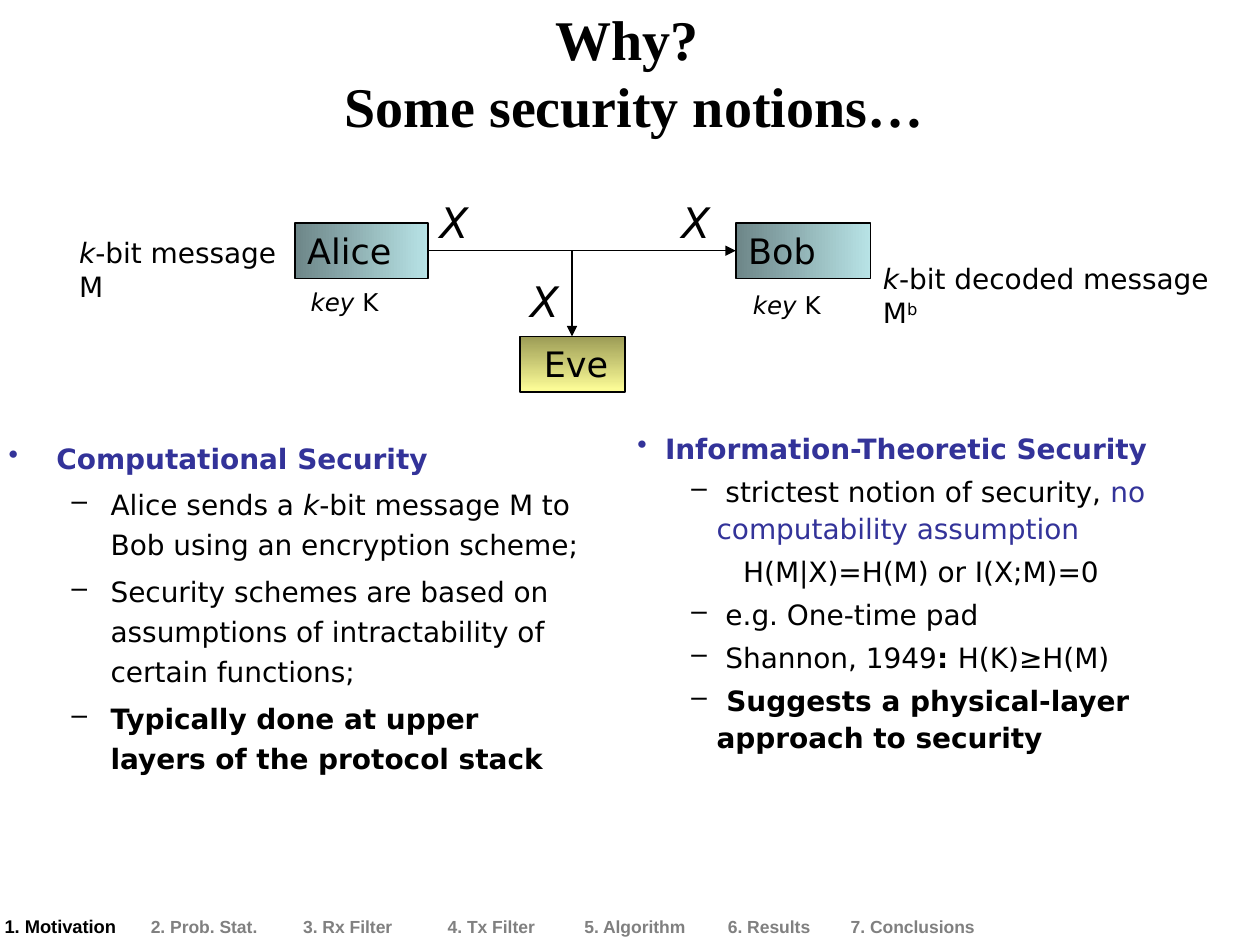
from lxml.etree import SubElement
from pptx import Presentation
from pptx.dml.color import RGBColor
from pptx.enum.shapes import MSO_CONNECTOR, MSO_SHAPE
from pptx.enum.text import MSO_ANCHOR, MSO_AUTO_SIZE, PP_ALIGN
from pptx.oxml.ns import qn
from pptx.util import Inches, Pt

BLACK = RGBColor(0x00, 0x00, 0x00)
GREY = RGBColor(0x80, 0x80, 0x80)
INDIGO = RGBColor(0x33, 0x33, 0x99)
TEAL_DARK = RGBColor(0x6D, 0x86, 0x88)
TEAL_LIGHT = RGBColor(0xB8, 0xE3, 0xE6)
OLIVE = RGBColor(0x9C, 0x9C, 0x56)
YELLOW = RGBColor(0xFF, 0xFF, 0x99)
SANS = "DejaVu Sans"


def set_font(para, size, name=SANS, color=BLACK, bold=False):
    font = para.font
    font.size, font.name, font.bold = Pt(size), name, bold
    font.color.rgb = color


def add_spans(para, spans):
    """Add (text, style) pairs; style is "", "bold", "italic", "super" or "indigo"."""
    for text, style in spans:
        span = para.add_run()
        span.text = text
        if style == "bold":
            span.font.bold = True
        elif style == "italic":
            span.font.italic = True
        elif style == "indigo":
            span.font.color.rgb = INDIGO
        elif style == "super":
            span.font._element.set("baseline", "30000")


def add_label(page, left, top, width, height, spans, size, align=PP_ALIGN.LEFT, wrap=True):
    box = page.shapes.add_textbox(Inches(left), Inches(top), Inches(width), Inches(height))
    frame = box.text_frame
    frame.word_wrap = wrap
    frame.auto_size = MSO_AUTO_SIZE.SHAPE_TO_FIT_TEXT
    para = frame.paragraphs[0]
    para.alignment = align
    set_font(para, size)
    add_spans(para, spans)


def add_party(page, left, top, width, name, dark, light, angle):
    box = page.shapes.add_shape(MSO_SHAPE.RECTANGLE, Inches(left), Inches(top),
                                Inches(width), Inches(0.44))
    box.shadow.inherit = False
    box.fill.gradient()
    box.fill.gradient_angle = angle
    for stop, color in zip(box.fill.gradient_stops, (dark, light)):
        stop.color.rgb = color
        stop.position = 0 if color == dark else 1
    box.line.color.rgb = BLACK
    box.line.width = Pt(1)
    frame = box.text_frame
    frame.word_wrap = True
    frame.vertical_anchor = MSO_ANCHOR.TOP
    para = frame.paragraphs[0]
    para.alignment = PP_ALIGN.LEFT
    set_font(para, 20)
    add_spans(para, [(name, "")])


def add_arrow(page, kind, start, end):
    arrow = page.shapes.add_connector(kind, *(Inches(value) for value in start + end))
    arrow.line.color.rgb = BLACK
    arrow.line.width = Pt(0.75)
    SubElement(arrow.line._get_or_add_ln(), qn("a:tailEnd"), type="triangle")
    properties = arrow._element.spPr
    SubElement(properties, qn("a:effectLst"))
    if kind == MSO_CONNECTOR.ELBOW:
        properties.find(qn("a:prstGeom")).set("prst", "bentConnector2")


def add_channel_diagram(page):
    add_party(page, 2.34, 1.77, 1.06, "Alice", TEAL_DARK, TEAL_LIGHT, 0)
    add_party(page, 4.13, 2.67, 0.83, " Eve", OLIVE, YELLOW, 270)
    add_party(page, 5.84, 1.77, 1.07, "Bob", TEAL_DARK, TEAL_LIGHT, 0)
    add_arrow(page, MSO_CONNECTOR.STRAIGHT, (3.4, 1.99), (5.84, 1.99))
    add_arrow(page, MSO_CONNECTOR.ELBOW, (3.4, 1.99), (4.54, 2.67))
    add_label(page, 0.53, 1.82, 2.01, 0.64,
              [("k", "italic"), ("-bit message M", "")], 16)
    add_label(page, 6.91, 2.03, 2.97, 0.64,
              [("k", "italic"), ("-bit decoded message M", ""), ("b", "super")], 16)
    for left, top in ((2.07, 2.23), (5.58, 2.25)):
        add_label(page, left, top, 1.33, 0.34, [("key", "italic"), (" K", "")], 14,
                  PP_ALIGN.CENTER)
    for left, top in ((3.39, 1.51), (5.31, 1.51), (4.11, 2.14)):
        add_label(page, left, top, 0.43, 0.5, [("X", "italic")], 24, wrap=False)


def add_outline(page, left, top, width, height, indents, spacing, items):
    """Fill a box with (level, spans) items; indents holds (margin, first line) by level."""
    box = page.shapes.add_textbox(Inches(left), Inches(top), Inches(width), Inches(height))
    frame = box.text_frame
    frame.word_wrap = True
    for index, (level, spans) in enumerate(items):
        para = frame.add_paragraph() if index else frame.paragraphs[0]
        para.level = level
        para.line_spacing = spacing
        if index:
            para.space_before = Pt(3.5)
        margin, first_line = indents[level]
        properties = para._p.get_or_add_pPr()
        properties.set("marL", str(Inches(margin)))
        properties.set("indent", str(Inches(first_line)))
        if level < 2:
            SubElement(properties, qn("a:buChar"), char="•–"[level])
        else:
            SubElement(properties, qn("a:buNone"))
        set_font(para, 16, color=BLACK if level else INDIGO, bold=level == 0)
        add_spans(para, spans)


def add_title(page, left, top, width, height, lines):
    box = page.shapes.add_textbox(Inches(left), Inches(top), Inches(width), Inches(height))
    frame = box.text_frame
    frame.word_wrap = True
    frame.vertical_anchor = MSO_ANCHOR.MIDDLE
    for index, line in enumerate(lines):
        para = frame.add_paragraph() if index else frame.paragraphs[0]
        para.alignment = PP_ALIGN.CENTER
        set_font(para, 32, "Times New Roman", bold=True)
        add_spans(para, [(line, "")])


def add_progress_bar(page, left, top, height, sections, current):
    """Lay out (name, width) sections in one row, with the current one in black."""
    total = sum(width for _, width in sections)
    table = page.shapes.add_table(1, len(sections), Inches(left), Inches(top),
                                  Inches(total), Inches(height)).table
    table.first_row = table.horz_banding = False
    for index, (name, width) in enumerate(sections):
        table.columns[index].width = Inches(width)
        cell = table.cell(0, index)
        cell.fill.background()
        para = cell.text_frame.paragraphs[0]
        para.alignment = PP_ALIGN.CENTER
        active = index == current
        set_font(para, 10.5 if active else 10, "Arial", BLACK if active else GREY, True)
        add_spans(para, [(name, "")])


def main():
    deck = Presentation()
    deck.slide_width, deck.slide_height = Inches(10), Inches(7.5)
    page = deck.slides.add_slide(deck.slide_layouts[6])
    add_outline(page, -0.03, 3.4, 4.76, 3.47, [(0.38, -0.38), (0.81, -0.31)], 1.2, [
        (0, [("Computational Security", "")]),
        (1, [("Alice sends a ", ""), ("k", "italic"),
             ("-bit message M to Bob using an encryption scheme;", "")]),
        (1, [("Security schemes are based on assumptions of intractability of "
              "certain functions;", "")]),
        (1, [("Typically done at upper layers of the protocol stack", "bold")]),
    ])
    add_channel_diagram(page)
    add_outline(page, 4.96, 3.35, 5, 3.59, [(0.22, -0.22), (0.63, -0.2), (1.04, -0.2)], 1.1, [
        (0, [("Information-Theoretic Security", "")]),
        (1, [(" strictest notion of security, ", ""),
             ("no computability assumption", "indigo")]),
        (2, [("H(M|X)=H(M) or I(X;M)=0", "")]),
        (1, [(" e.g. One-time pad", "")]),
        (1, [(" Shannon, 1949", ""), (": ", "bold"), ("H(K)≥H(M)", "")]),
        (1, [(" Suggests a physical-layer approach to security", "bold")]),
    ])
    add_title(page, 1.02, 0, 8.03, 1.14, ["Why? ", "Some security notions…"])
    add_progress_bar(page, -0.09, 7.23, 0.29, [
        ("1. Motivation", 1.14), ("2. Prob. Stat.", 1.14), ("3. Rx Filter", 1.14),
        ("4. Tx Filter", 1.14), ("5. Algorithm", 1.14), ("6. Results", 0.99),
        ("7. Conclusions", 1.29),
    ], current=0)
    deck.save("out.pptx")


if __name__ == "__main__":
    main()
